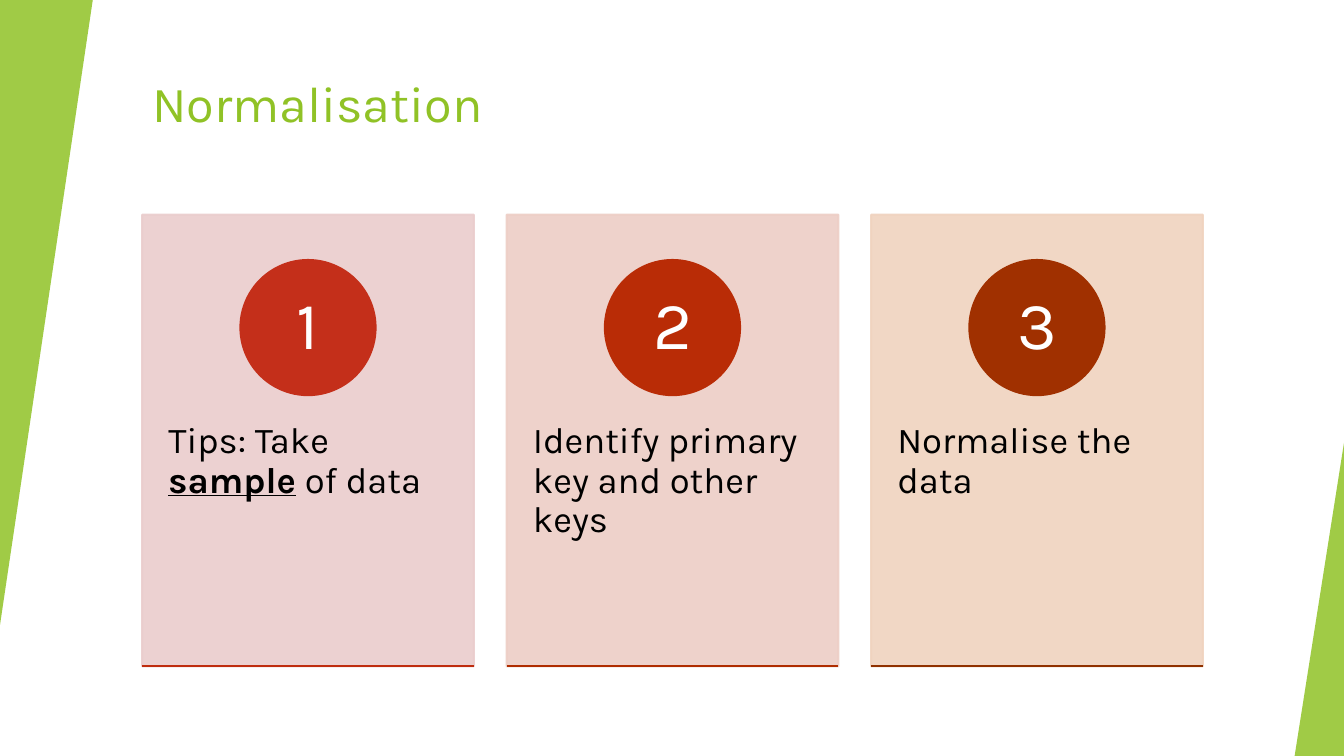
import pptx
import pptx.util
import pptx.dml.color
import pptx.enum.shapes
import pptx.enum.text
import pptx.oxml
import pptx.oxml.ns

Inches, Pt = pptx.util.Inches, pptx.util.Pt
RGBColor = pptx.dml.color.RGBColor
MSO_SHAPE = pptx.enum.shapes.MSO_SHAPE
ANCHOR = pptx.enum.text.MSO_ANCHOR
ALIGN = pptx.enum.text.PP_ALIGN

GREEN = RGBColor(0x90, 0xC2, 0x26)
BLACK = RGBColor(0, 0, 0)
WHITE = RGBColor(255, 255, 255)
FONT = "Karla"

TITLE = "Normalisation"
# Each step: runs of (text, emphasised), then card, circle and baseline colours
STEPS = [
    ([("Tips: Take ", False), ("sample", True), (" of data", False)],
     RGBColor(0xEA, 0xCD, 0xCD), RGBColor(0xC4, 0x2F, 0x1A), RGBColor(0xBF, 0x2D, 0x0F)),
    ([("Identify primary key and other keys", False)],
     RGBColor(0xED, 0xCE, 0xC6), RGBColor(0xB9, 0x2C, 0x06), RGBColor(0xAF, 0x2D, 0x00)),
    ([("Normalise the data", False)],
     RGBColor(0xF0, 0xD3, 0xBF), RGBColor(0xA0, 0x30, 0x00), RGBColor(0x90, 0x31, 0x00)),
]

SLIDE_W, SLIDE_H = 13.33, 7.5
MARGIN = 1.41
CARD_TOP, CARD_W, CARD_H = 2.13, 3.29, 4.48
CARD_PITCH = 3.615
CIRCLE_TOP, CIRCLE = 2.58, 1.34
NUMBER = 0.95
TEXT_TOP, TEXT_H = 3.83, 2.69
# Left, top, width, height, rotation
WEDGES = [(0, 0, 0.92, 6.2, 180), (SLIDE_W - 0.49, SLIDE_H - 3.11, 0.49, 3.11, 0)]


def add_filled(slide, kind, box, color, opacity=100, outlined=True):
    shape = slide.shapes.add_shape(kind, *map(Inches, box))
    shape.shadow.inherit = False
    shape.fill.solid()
    shape.fill.fore_color.rgb = color
    if outlined:
        shape.line.color.rgb = color
        shape.line.width = Pt(1.5)
    else:
        shape.line.fill.background()
    if opacity < 100:
        for srgb in shape._element.spPr.iter(pptx.oxml.ns.qn("a:srgbClr")):
            alpha = pptx.oxml.parse_xml(f'<a:alpha {pptx.oxml.ns.nsdecls("a")}/>')
            alpha.set("val", str(opacity * 1000))
            srgb.append(alpha)
    return shape


def add_text(slide, box, runs, size, color, insets, align, anchor):
    frame = slide.shapes.add_textbox(*map(Inches, box)).text_frame
    frame.word_wrap = True
    frame.vertical_anchor = anchor
    frame.margin_left = frame.margin_right = Inches(insets[0])
    frame.margin_top = frame.margin_bottom = Inches(insets[1])
    paragraph = frame.paragraphs[0]
    paragraph.alignment = align
    paragraph.line_spacing = 0.9
    paragraph.font.name = FONT
    paragraph.font.size = Pt(size)
    paragraph.font.color.rgb = color
    for text, emphasised in runs:
        run = paragraph.add_run()
        run.text = text
        if emphasised:
            run.font.bold = run.font.underline = True


def add_baseline(slide, left, color):
    bottom = CARD_TOP + CARD_H
    line = slide.shapes.add_connector(
        pptx.enum.shapes.MSO_CONNECTOR.STRAIGHT,
        *map(Inches, (left, bottom, left + CARD_W, bottom)))
    line.line.color.rgb = color
    line.line.width = Pt(1.5)
    line._element.spPr.append(
        pptx.oxml.parse_xml(f'<a:effectLst {pptx.oxml.ns.nsdecls("a")}/>'))


def add_title(slide):
    title = slide.shapes.title
    title.left, title.top, title.width, title.height = map(Inches, (MARGIN, 0.67, 11.15, 1.2))
    frame = title.text_frame
    frame.text = TITLE
    frame.auto_size = pptx.enum.text.MSO_AUTO_SIZE.NONE
    frame.vertical_anchor = ANCHOR.TOP
    heading = frame.paragraphs[0]
    heading.alignment = ALIGN.LEFT
    heading.font.name = FONT
    heading.font.size = Pt(36)
    heading.font.color.rgb = GREEN


def add_step(slide, index, runs, card, circle, baseline):
    left = MARGIN + index * CARD_PITCH
    center = left + CARD_W / 2
    add_filled(slide, MSO_SHAPE.RECTANGLE, (left, CARD_TOP, CARD_W, CARD_H), card, 90)
    add_text(slide, (left, TEXT_TOP, CARD_W, TEXT_H), runs, 26, BLACK,
             (0.26, 0.36), ALIGN.LEFT, ANCHOR.TOP)
    add_filled(slide, MSO_SHAPE.OVAL,
               (center - CIRCLE / 2, CIRCLE_TOP, CIRCLE, CIRCLE), circle)
    number_top = CIRCLE_TOP + (CIRCLE - NUMBER) / 2
    add_text(slide, (center - NUMBER / 2, number_top, NUMBER, NUMBER),
             [(str(index + 1), False)], 48, WHITE, (0.1, 0.01), ALIGN.CENTER, ANCHOR.MIDDLE)
    add_baseline(slide, left, baseline)


def main():
    deck = pptx.Presentation()
    deck.slide_width, deck.slide_height = Inches(SLIDE_W), Inches(SLIDE_H)
    slide = deck.slides.add_slide(deck.slide_layouts[5])
    add_title(slide)
    for *box, rotation in WEDGES:
        wedge = add_filled(slide, MSO_SHAPE.ISOSCELES_TRIANGLE, box, GREEN, 85, outlined=False)
        wedge.adjustments[0] = 1
        wedge.rotation = rotation
    for index, step in enumerate(STEPS):
        add_step(slide, index, *step)
    deck.save("out.pptx")


if __name__ == "__main__":
    main()
